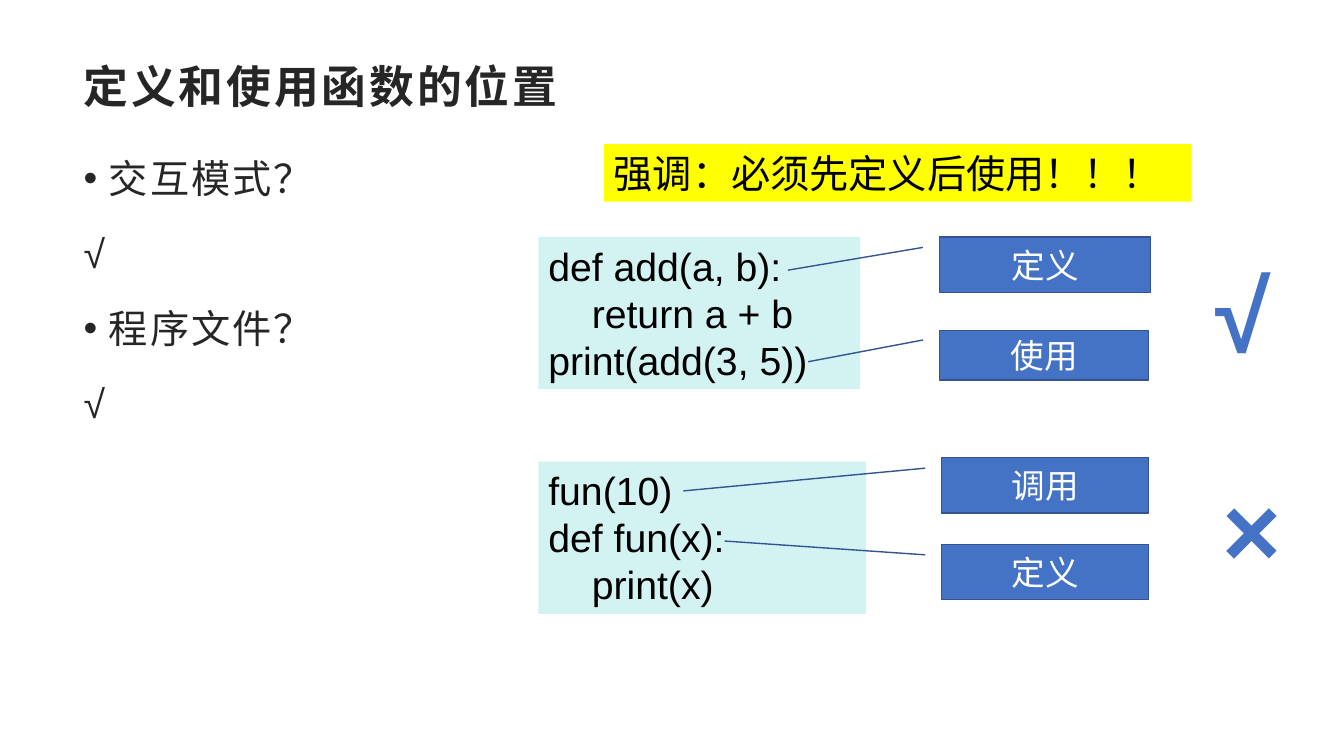
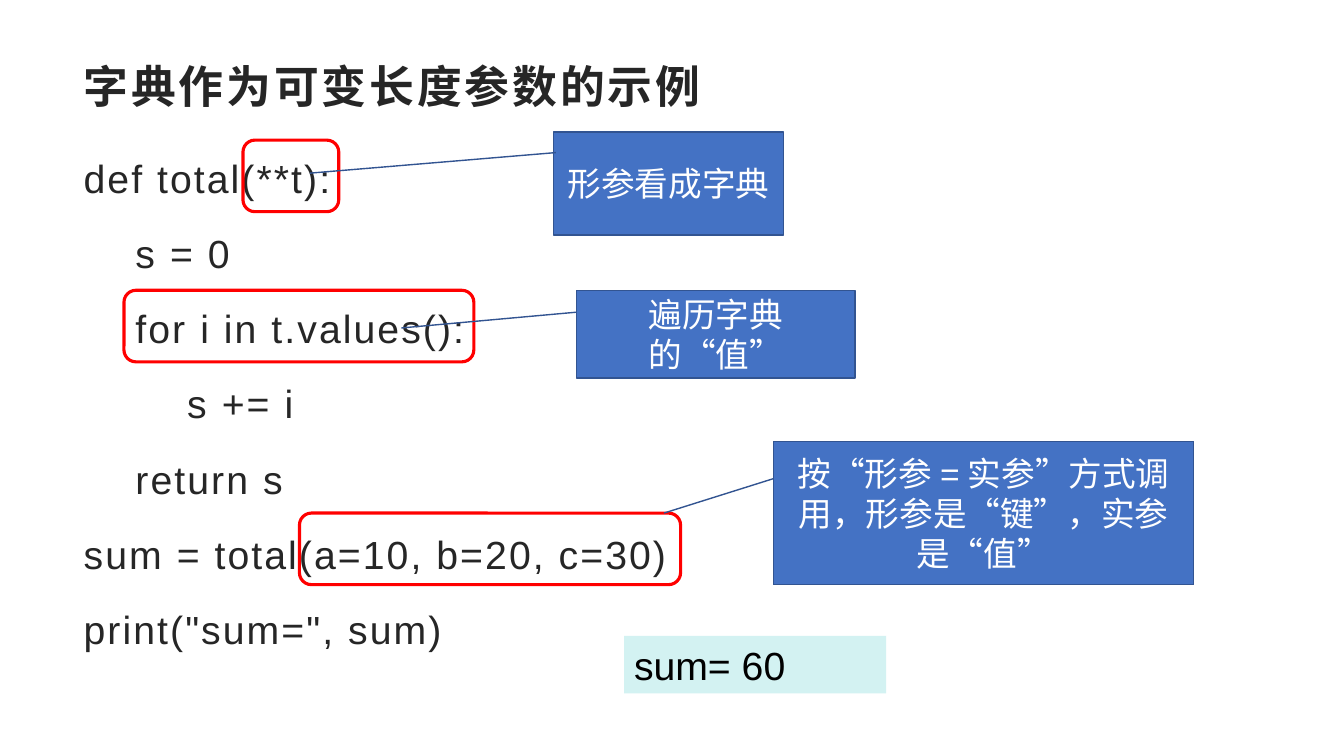
"""Build two slides on defining functions and on dictionary arguments."""
from pptx import Presentation
from pptx.dml.color import RGBColor
from pptx.enum import lang, shapes, text
from pptx.util import Inches, Pt
from lxml import etree

INK = RGBColor(0x26, 0x26, 0x26)
BLACK = RGBColor(0, 0, 0)
WHITE = RGBColor(0xFF, 0xFF, 0xFF)
BLUE = RGBColor(0x44, 0x72, 0xC4)
NAVY = RGBColor(0x32, 0x54, 0x91)
RED = RGBColor(0xFF, 0, 0)
YELLOW = RGBColor(0xFF, 0xFF, 0)
MINT = RGBColor(0xD3, 0xF2, 0xF2)
NS = "{http://schemas.openxmlformats.org/drawingml/2006/main}"
LEFT, MID = text.PP_ALIGN.LEFT, text.PP_ALIGN.CENTER
KIND = shapes.MSO_SHAPE


def write(frame, lines, size, color, align=LEFT, bold=False, gap=0, marks=None):
    """Fill a frame with lines; marks, if given, lists the bulleted lines."""
    frame.text = "\n".join(lines)
    for i, para in enumerate(frame.paragraphs):
        para.alignment = align
        props = para._p.get_or_add_pPr()
        if marks is not None:
            para.line_spacing = 1.3
            para.space_before, para.space_after = Pt(0), Pt(10)
            dent = Inches(0.25) if i in marks else 0
            props.set("marL", str(dent))
            props.set("indent", str(-dent))
            if dent:
                etree.SubElement(props, NS + "buFont").set("typeface", "Arial")
                etree.SubElement(props, NS + "buChar").set("char", "•")
            else:
                etree.SubElement(props, NS + "buNone")
        font = para.font
        font.name, font.size, font.bold = "Arial", Pt(size), bold
        font.color.rgb = color
        font.language_id = lang.MSO_LANGUAGE_ID.SIMPLIFIED_CHINESE
        if gap:
            props.find(NS + "defRPr").set("spc", str(gap))


def draw(slide, kind, at, fill, line, width):
    """Add a flat shape with the given fill and outline."""
    shape = slide.shapes.add_shape(kind, *map(Inches, at))
    shape.shadow.inherit = False
    if fill is None:
        shape.fill.background()
    else:
        shape.fill.solid()
        shape.fill.fore_color.rgb = fill
    shape.line.color.rgb = line
    shape.line.width = Pt(width)
    return shape


pages = [
    {
        "title": "定义和使用函数的位置",
        "width": 4.16,
        "body": ["交互模式？", "√", "程序文件？", "√"],
        "marks": [0, 2],
        "frames": [],
        "panels": [
            ((5.99, 1.43, 5.83, 0.57), YELLOW, ["强调：必须先定义后使用！！！"]),
            ((5.34, 2.35, 3.19, 1.51), MINT,
             ["def add(a, b):", "    return a + b", "print(add(3, 5))"]),
            ((5.34, 4.58, 3.25, 1.51), MINT,
             ["fun(10)", "def fun(x):", "    print(x)"]),
        ],
        "calls": [
            ((9.32, 2.35, 2.09, 0.55), (0.19, -0.08, 0.6, -0.72), "定义"),
            ((9.32, 3.28, 2.07, 0.49), (0.19, -0.08, 0.63, -0.63), "使用"),
            ((9.34, 4.54, 2.05, 0.55), (0.19, -0.08, 0.6, -1.25), "调用"),
            ((9.34, 5.4, 2.05, 0.55), (0.19, -0.08, -0.06, -1.05), "定义"),
        ],
        "signs": [
            ((11.95, 2.45, 0.75, 1.31), "√"),
            ((11.82, 4.58, 1.2, 1.31), "×"),
        ],
    },
    {
        "title": "字典作为可变长度参数的示例",
        "width": 11.87,
        "body": [
            "def total(**t):",
            "    s = 0",
            "    for i in t.values():",
            "        s += i",
            "    return s",
            "sum = total(a=10, b=20, c=30)",
            'print("sum=", sum)',
        ],
        "marks": [],
        "frames": [
            (2.41, 1.39, 0.95, 0.71),
            (1.23, 2.88, 3.47, 0.71),
            (2.97, 5.09, 3.78, 0.71),
        ],
        "panels": [((6.19, 6.31, 2.6, 0.57), MINT, ["sum= 60"])],
        "calls": [
            ((5.49, 1.31, 2.28, 1.02), (0.2, 0.01, 0.4, -1.06), "形参看成字典"),
            ((5.72, 2.88, 2.76, 0.87), (0.25, 0, 0.43, -0.63), "遍历字典的“值”"),
            ((7.67, 4.38, 4.17, 1.42), (0.26, 0, 0.5, -0.26),
             "按“形参=实参”方式调用，形参是“键”，实参是“值”"),
        ],
        "signs": [],
    },
]

deck = Presentation()
deck.slide_width, deck.slide_height = Inches(13.33), Inches(7.5)

for page in pages:
    slide = deck.slides.add_slide(deck.slide_layouts[1])
    title, body = slide.placeholders
    for hold, at in ((title, (0.73, 0.48, 11.87, 0.74)),
                     (body, (0.73, 1.34, page["width"], 5.59))):
        hold.left, hold.top, hold.width, hold.height = map(Inches, at)
        hold.text_frame.auto_size = text.MSO_AUTO_SIZE.NONE
    title.text_frame.vertical_anchor = text.MSO_ANCHOR.MIDDLE
    write(title.text_frame, [page["title"]], 32, INK, bold=True, gap=200)
    write(body.text_frame, page["body"], 28, INK, gap=150, marks=page["marks"])

    for at, fill, lines in page["panels"]:
        panel = slide.shapes.add_textbox(*map(Inches, at))
        panel.fill.solid()
        panel.fill.fore_color.rgb = fill
        panel.text_frame.word_wrap = True
        write(panel.text_frame, lines, 28, BLACK)

    for at in page["frames"]:
        draw(slide, KIND.ROUNDED_RECTANGLE, at, None, RED, 2.25)

    for at, ends, label in page["calls"]:
        call = draw(slide, KIND.LINE_CALLOUT_1, at, BLUE, NAVY, 1)
        for i, end in enumerate(ends):
            call.adjustments[i] = end
        call.text_frame.vertical_anchor = text.MSO_ANCHOR.MIDDLE
        write(call.text_frame, [label], 24, WHITE, MID)

    for at, sign in page["signs"]:
        mark = slide.shapes.add_textbox(*map(Inches, at))
        mark.text_frame.word_wrap = False
        write(mark.text_frame, [sign], 72, BLUE, MID, bold=True)

deck.save("out.pptx")
